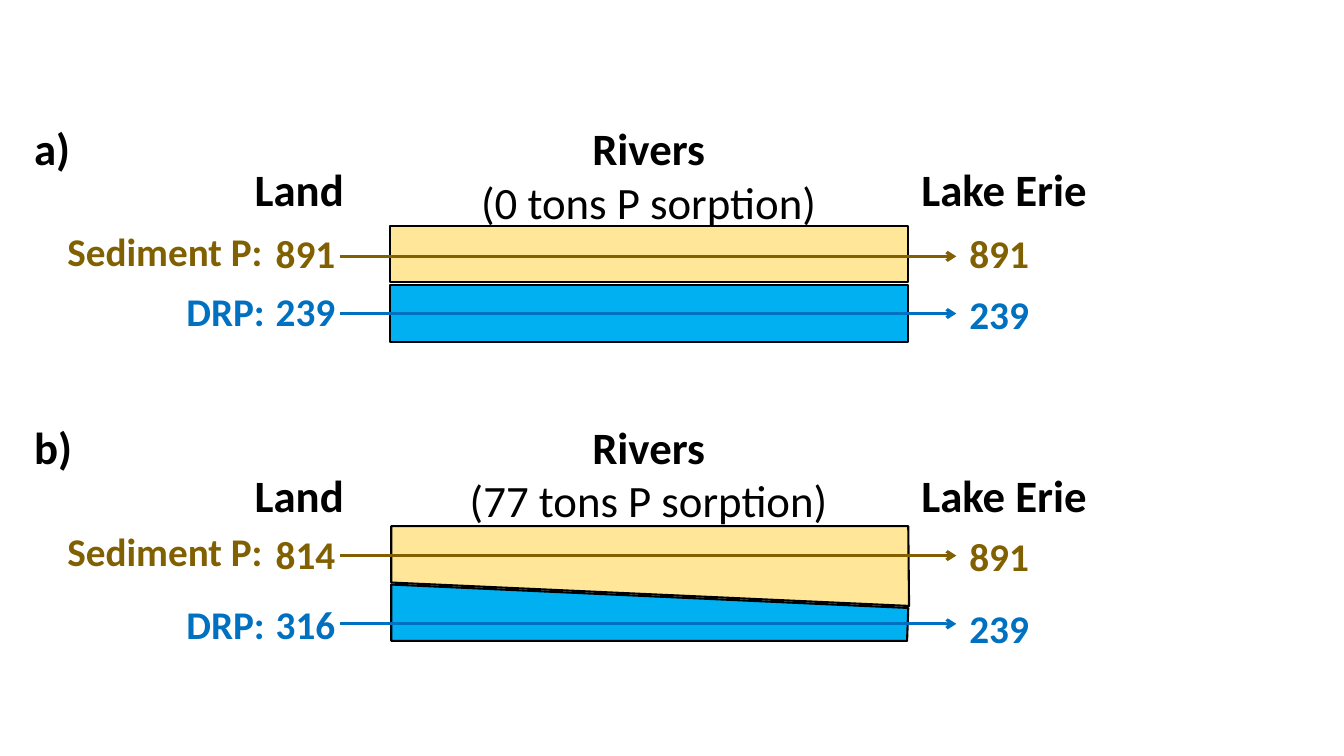
import pptx
import pptx.dml.color
import pptx.enum.shapes
import pptx.enum.text
import pptx.oxml
import pptx.oxml.ns
import pptx.util
from pptx.util import Cm

BLACK, BROWN, BLUE = "000000", "806000", "0070C0"
SAND, WATER = "FFE699", "00B0F0"


def color(hex_string):
    return pptx.dml.color.RGBColor.from_string(hex_string)


class Diagram:
    """Holds the font and the slide being drawn; all lengths are in centimetres."""

    font = "Calibri"
    heading_size = 32
    value_size = 28

    def __init__(self, slide):
        self.slide = slide

    def text(self, left, top, width, lines, size, hex_string=BLACK, centered=False):
        """Add a text box whose first line is bold and whose other lines are regular."""
        height = len(lines) * size * 0.043 + 0.25
        shape = self.slide.shapes.add_textbox(Cm(left), Cm(top), Cm(width), Cm(height))
        frame = shape.text_frame
        frame.word_wrap = False
        frame.auto_size = pptx.enum.text.MSO_AUTO_SIZE.SHAPE_TO_FIT_TEXT
        frame.text = "\n".join(lines)
        for index, paragraph in enumerate(frame.paragraphs):
            if centered:
                paragraph.alignment = pptx.enum.text.PP_ALIGN.CENTER
            paragraph.font.name = self.font
            paragraph.font.size = pptx.util.Pt(size)
            paragraph.font.bold = index == 0
            paragraph.font.color.rgb = color(hex_string)

    def heading(self, left, top, width, *lines, centered=False):
        self.text(left, top, width, lines, self.heading_size, centered=centered)

    def value(self, left, top, width, label, hex_string):
        self.text(left, top, width, [label], self.value_size, hex_string)

    def style_band(self, shape, fill):
        shape.shadow.inherit = False
        shape.fill.solid()
        shape.fill.fore_color.rgb = color(fill)
        shape.line.color.rgb = color(BLACK)
        shape.line.width = pptx.util.Pt(1.5)

    def straight_band(self, left, top, width, height, fill):
        shape = self.slide.shapes.add_shape(
            pptx.enum.shapes.MSO_SHAPE.RECTANGLE, Cm(left), Cm(top), Cm(width), Cm(height))
        self.style_band(shape, fill)

    def sloped_band(self, corners, fill):
        start, *others = [(Cm(x), Cm(y)) for x, y in corners]
        builder = self.slide.shapes.build_freeform(*start)
        builder.add_line_segments(others, close=True)
        self.style_band(builder.convert_to_shape(), fill)

    def arrow(self, left, right, y, hex_string):
        connector = self.slide.shapes.add_connector(
            pptx.enum.shapes.MSO_CONNECTOR.STRAIGHT, Cm(left), Cm(y), Cm(right), Cm(y))
        connector.line.color.rgb = color(hex_string)
        connector.line.width = pptx.util.Pt(2.25)
        namespace = pptx.oxml.ns.nsdecls("a")
        connector.line._get_or_add_ln().append(
            pptx.oxml.parse_xml(f'<a:tailEnd {namespace} type="arrow"/>'))
        connector._element.spPr.append(pptx.oxml.parse_xml(f"<a:effectLst {namespace}/>"))

    def flow(self, name, name_left, name_width, hex_string, values, tops, arrow_y):
        """Draw one phosphorus flow: name, amount leaving land, arrow, amount reaching the lake."""
        name_top, land_top, lake_top = tops
        land_value, lake_value = values
        self.arrow(8.56, 24.1, arrow_y, hex_string)
        self.value(name_left, name_top, name_width, name, hex_string)
        self.value(6.7, land_top, 2.05, land_value, hex_string)
        self.value(24.18, lake_top, 2.05, lake_value, hex_string)

    def panel(self, letter, top, place_top, sorption, sediment, dissolved):
        self.heading(0.61, top, 1.6, letter)
        self.heading(11.33, top, 10.04, "Rivers", sorption, centered=True)
        self.heading(6.17, place_top, 2.8, "Land")
        self.heading(22.97, place_top, 4.75, "Lake Erie")
        self.flow("Sediment P:", 1.45, 5.5, BROWN, *sediment)
        self.flow("DRP:", 4.45, 2.55, BLUE, *dissolved)


def main():
    presentation = pptx.Presentation()
    presentation.slide_width, presentation.slide_height = Cm(33.87), Cm(19.05)
    blank_layout = presentation.slide_layouts.get_by_name("Blank")
    diagram = Diagram(presentation.slides.add_slide(blank_layout))

    for top, fill in ((7.19, WATER), (5.69, SAND)):
        diagram.straight_band(9.83, top, 13.06, 1.42, fill)
    diagram.panel("a)", 2.92, 3.94, "(0 tons P sorption)",
                  (("891", "891"), (5.61, 5.65, 5.65), 6.46),
                  (("239", "239"), (7.11, 7.11, 7.19), 7.9))

    diagram.sloped_band([(9.86, 13.26), (22.89, 13.26), (22.91, 15.27), (9.86, 14.68)], SAND)
    diagram.sloped_band([(9.86, 14.73), (22.89, 15.32), (22.86, 16.15), (9.86, 16.15)], WATER)
    diagram.panel("b)", 10.44, 11.66, "(77 tons P sorption)",
                  (("814", "891"), (13.16, 13.23, 13.28), 14),
                  (("316", "239"), (15.01, 14.99, 15.11), 15.72))

    presentation.save("out.pptx")


if __name__ == "__main__":
    main()
